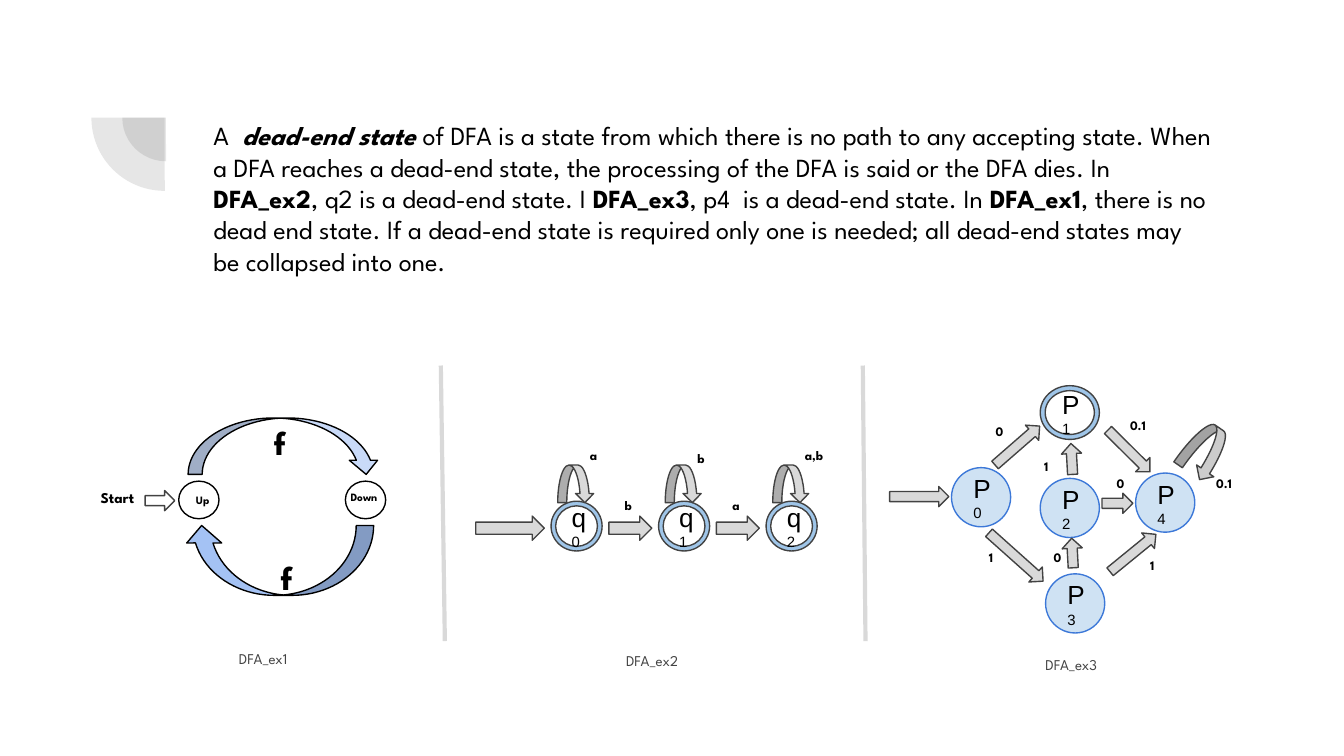
import pptx
import pptx.util
import pptx.dml.color
import pptx.oxml
import pptx.oxml.ns
import pptx.enum.shapes
import pptx.enum.text

SHAPE = pptx.enum.shapes.MSO_SHAPE
PX = 9144  # one px is a hundredth of an inch
FONT = "League Spartan"
COLORS = {
    "ink": "000000", "caption": "434343", "outline": "424242",
    "white": "FFFFFF", "arrow": "D9D9D9", "dead_loop": "CCCCCC",
    "accepting": "9FC5E8", "state": "CFE2F3", "state_line": "3C78D8",
    "curve_top": "C9DAF8", "curve_bottom": "A4C2F4",
}


def px(value):
    return pptx.util.Emu(int(value * PX))


def color(name):
    return pptx.dml.color.RGBColor.from_string(COLORS[name])


def bounds(box, place):
    """Turn a place relative to a box into slide lengths."""
    x, y, width, height = place
    return px(box[0] + x), px(box[1] + y), px(width), px(height)


def add_shape(page, box, kind, place, fill, line="outline", angle=0):
    shape = page.shapes.add_shape(kind, *bounds(box, place))
    shape.shadow.inherit = False
    shape.rotation = angle
    shape.fill.solid()
    shape.fill.fore_color.rgb = color(fill)
    if line:
        shape.line.color.rgb = color(line)
        shape.line.width = pptx.util.Pt(0.75)
    else:
        shape.line.fill.background()
    return shape


def set_insets(frame):
    frame.word_wrap = True
    frame.margin_left = frame.margin_right = px(10)
    frame.margin_top = frame.margin_bottom = px(10)


def add_span(para, text, size, font=FONT, bold=False, italic=False, ink="ink"):
    span = para.add_run()
    span.text = text
    span.font.name = font
    span.font.size = pptx.util.Pt(size)
    span.font.bold = bold
    span.font.italic = italic
    span.font.color.rgb = color(ink)


def add_text(page, box, place, spans, size, ink="ink"):
    """Add a text box from (text, bold, italic) spans."""
    frame = page.shapes.add_textbox(*bounds(box, place)).text_frame
    set_insets(frame)
    for text, bold, italic in spans:
        add_span(frame.paragraphs[0], text, size, FONT, bold, italic, ink)


def add_label(page, box, place, text, size=7):
    add_text(page, box, place, [(text, True, False)], size)


def add_caption(page, box, x, y, text):
    add_text(page, box, (x, y, 87, 40), [(text, False, False)], 8, "caption")


def add_arrow(page, box, place, angle=0, fill="arrow"):
    add_shape(page, box, SHAPE.RIGHT_ARROW, place, fill, angle=angle)


def add_state(page, box, place, letter, number, accepting=False):
    if accepting:
        state = add_shape(page, box, SHAPE.DONUT, place, "accepting")
        state.adjustments[0] = 0.093
    else:
        state = add_shape(page, box, SHAPE.OVAL, place, "state", "state_line")
    frame = state.text_frame
    set_insets(frame)
    frame.vertical_anchor = pptx.enum.text.MSO_ANCHOR.MIDDLE
    para = frame.paragraphs[0]
    para.alignment = pptx.enum.text.PP_ALIGN.LEFT
    add_span(para, letter, 14, "Arial")
    add_span(para, number, 8, "Arial")


def add_corner_mark(page, box):
    for place in [(23, 22, 65, 65), (0, 0, 109, 109)]:
        pie = add_shape(page, box, SHAPE.PIE, place, "outline", None, 270)
        pie.adjustments[0] = 107.928
        pie.adjustments[1] = 162
        tint = pie.fill._xPr.find(".//" + pptx.oxml.ns.qn("a:srgbClr"))
        alpha = pptx.oxml.parse_xml(
            "<a:alpha %s val='13000'/>" % pptx.oxml.ns.nsdecls("a"))
        tint.append(alpha)


def add_explanation(page, box):
    spans = [
        ("A  ", False, False),
        ("dead-end state ", True, True),
        ("of DFA is a state from which there is no path to any accepting "
         "state. When a DFA reaches a dead-end state, the processing of the "
         "DFA is said or the DFA dies. In ", False, False),
        ("DFA_ex2", True, False),
        (", q2 is a dead-end state. I ", False, False),
        ("DFA_ex3", True, False),
        (", p4  is a dead-end state. In ", False, False),
        ("DFA_ex1", True, False),
        (", there is no dead end state. If a dead-end state is required only "
         "one is needed; all dead-end states may be collapsed into one.",
         False, False),
    ]
    add_text(page, box, (0, 0, 764, 177), spans, 14)


def add_divider(page, box):
    left, top, width, height = box
    line = page.shapes.add_connector(
        pptx.enum.shapes.MSO_CONNECTOR.STRAIGHT,
        px(left), px(top), px(left + width), px(top + height))
    line.line.color.rgb = color("arrow")
    line.line.width = pptx.util.Pt(2.25)
    line._element.spPr.append(pptx.oxml.parse_xml(
        "<a:effectLst %s/>" % pptx.oxml.ns.nsdecls("a")))


def add_switch_dfa(page, box):
    for x in (68, 192):
        add_shape(page, box, SHAPE.OVAL, (x, 54, 30, 28), "white", "ink")
    curve = SHAPE.CURVED_DOWN_ARROW
    add_shape(page, box, curve, (75, 7, 143, 42), "curve_top", "ink")
    add_shape(page, box, curve, (72, 87, 141, 52), "curve_bottom", "ink", 180)
    add_arrow(page, box, (43, 61, 22, 15), fill="white")
    for text, size, place in [
        ("Up", 6, (71, 58, 38, 28)), ("Down", 6, (186, 56, 51, 28)),
        ("f", 18, (134, 100, 35, 25)), ("f", 18, (129, 0, 35, 25)),
        ("Start", 8, (0, 53, 51, 25)),
    ]:
        add_label(page, box, place, text, size)
    add_caption(page, box, 103, 173, "DFA_ex1")


def add_chain_dfa(page, box):
    pitch = 80
    add_arrow(page, box, (0, 57, 51, 18))
    for index, (text, top) in enumerate([("a", 0), ("b", 2), ("a,b", 0)]):
        x = index * pitch
        add_state(page, box, (56 + x, 46, 38, 37), "q", str(index), True)
        add_shape(page, box, SHAPE.CURVED_DOWN_ARROW,
                  (61 + x, 19, 27, 28), "arrow")
        add_label(page, box, (75 + x, top, 44, 36), text)
    for index, text in enumerate("ba"):
        x = index * pitch
        add_arrow(page, box, (99 + x, 57, 32, 18))
        add_label(page, box, (101 + x, 37, 32, 36), text)
    add_caption(page, box, 102, 151, "DFA_ex2")


def add_branching_dfa(page, box):
    add_state(page, box, (112, 0, 44, 40), "P", "1", True)
    for number, x, y in [("0", 46, 61), ("2", 112, 69),
                         ("4", 183, 65), ("3", 116, 140)]:
        add_state(page, box, (x, y, 44, 44), "P", number)
    for x, y, length, angle in [
        (0, 75, 44, 0), (73, 37, 44, -41.1), (156, 41, 44, 44.9),
        (159, 117, 44, -39.2), (158, 80, 23, 0), (124, 47, 23, -93.1),
        (125, 117, 22, -93.1), (67, 120, 54, 41.8),
    ]:
        add_arrow(page, box, (x, y, length, 15), angle)
    add_shape(page, box, SHAPE.CURVED_DOWN_ARROW, (220, 29, 31, 40),
              "dead_loop", angle=34.6)
    for text, x, y in [
        ("0", 69, 22), ("1", 105, 48), ("0", 112, 116), ("1", 64, 116),
        ("1", 184, 122), ("0.1", 169, 18), ("0.1", 233, 61), ("0", 159, 61),
    ]:
        add_label(page, box, (x, y, 51 if "." in text else 42, 40), text)
    add_caption(page, box, 106, 194, "DFA_ex3")


def main():
    deck = pptx.Presentation()
    deck.slide_width, deck.slide_height = px(1000), px(562.5)
    page = deck.slides.add_slide(deck.slide_layouts[6])
    add_corner_mark(page, (68, 33))
    add_branching_dfa(page, (662, 287))
    add_chain_dfa(page, (354, 327))
    add_divider(page, (642, 272, 2, 205))
    add_divider(page, (328, 272, 3, 205))
    add_switch_dfa(page, (65, 304))
    add_explanation(page, (149, 79))
    deck.save("out.pptx")


if __name__ == "__main__":
    main()
